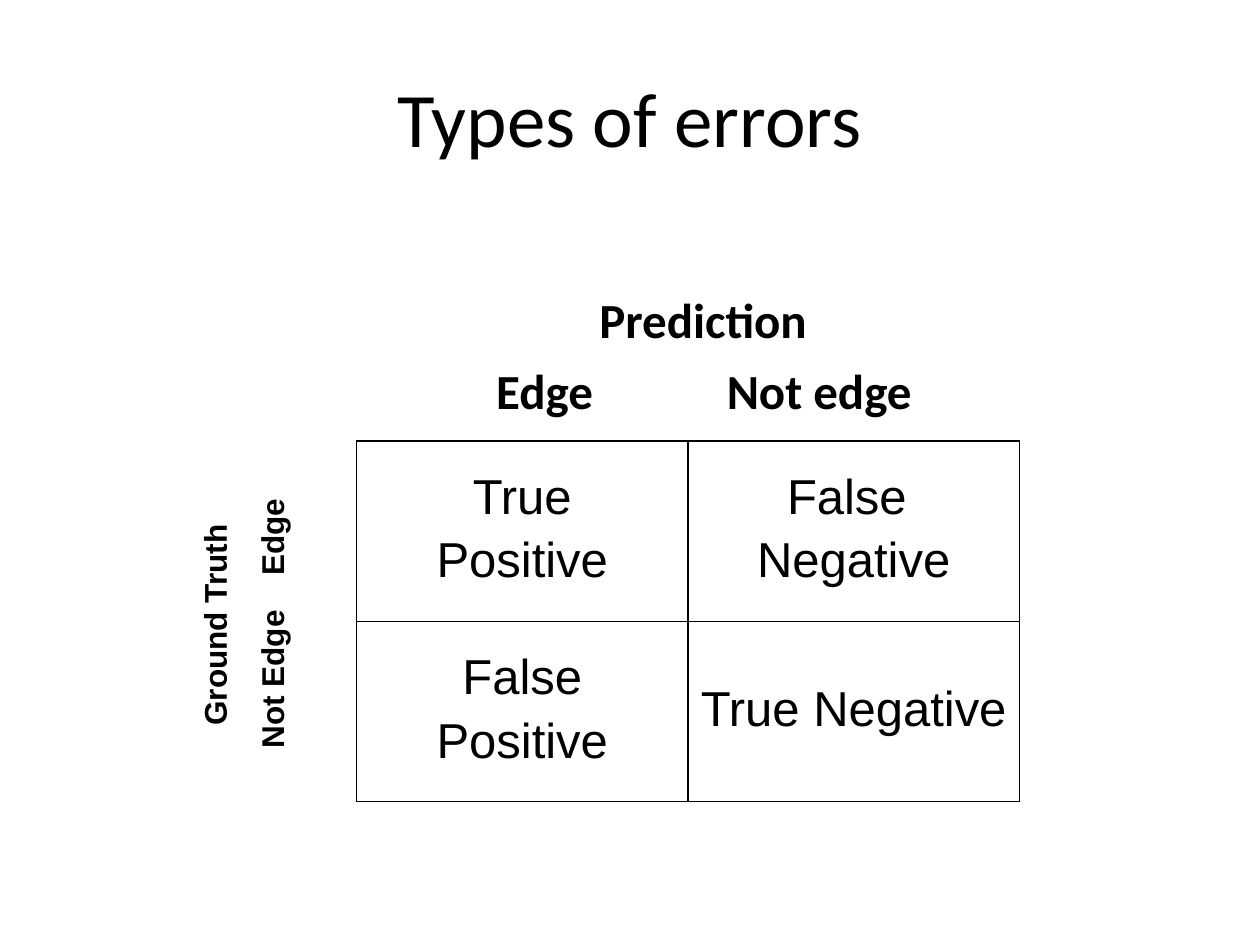
from lxml.etree import SubElement
from pptx import Presentation
from pptx.dml.color import RGBColor
from pptx.enum.text import MSO_ANCHOR, PP_ALIGN
from pptx.oxml.ns import qn
from pptx.util import Inches, Pt

COLORS = {"ink": "000000"}
TITLE = "Types of errors"
OUTCOMES = [
    [["True", "Positive"], ["False ", "Negative"]],
    [["False", "Positive"], ["True Negative"]],
]
AXES = [
    {
        "name": "Prediction", "levels": ["Edge", "Not edge"], "stops": [1.26, 3.09],
        "box": (2.58, 2.25, 6, 1.33), "margins": (0.1, 0.05), "direction": "horz",
        "font": {"name": "Calibri", "size": Pt(28), "bold": True}, "before": 7,
    },
    {
        "name": "Ground Truth", "levels": ["Not Edge", "Edge"], "stops": [0.38, 1.75],
        "box": (1.5, 3.5, 0.95, 2.92), "margins": (0.05, 0.1), "direction": "vert270",
        "font": {"name": "Arial", "size": Pt(18), "bold": True}, "before": 11.2,
    },
]
TITLE_FONT = {"name": "Calibri", "size": Pt(44), "bold": False}
CELL_FONT = {"name": "Arial", "size": Pt(28), "bold": False}
CELL_SPACING = {"alignment": PP_ALIGN.CENTER, "line_spacing": 0.93, "space_before": Pt(7)}
TABLE_LEFT, TABLE_TOP = 2.83, 3.5
COLUMN_WIDTH, ROW_HEIGHT = 2.63, 1.43


def apply(target, values):
    for name, value in values.items():
        setattr(target, name, value)


def write(frame, lines, font, spacing):
    for index, line in enumerate(lines):
        paragraph = frame.paragraphs[0] if index == 0 else frame.add_paragraph()
        apply(paragraph, spacing)
        run = paragraph.add_run()
        run.text = line
        apply(run.font, font)
        run.font.color.rgb = RGBColor.from_string(COLORS["ink"])


def place(shape, box):
    apply(shape, dict(zip(("left", "top", "width", "height"), map(Inches, box))))


def add_axis(slide, axis):
    shape = slide.shapes.add_textbox(*map(Inches, axis["box"]))
    frame = shape.text_frame
    across, down = map(Inches, axis["margins"])
    apply(frame, {"word_wrap": True, "margin_left": across, "margin_right": across,
                  "margin_top": down, "margin_bottom": down})
    frame._txBody.bodyPr.set("vert", axis["direction"])
    levels = "".join("\t" + level for level in axis["levels"])
    write(frame, [axis["name"], levels], axis["font"], {"space_before": Pt(axis["before"])})
    heading, level_line = frame.paragraphs
    heading.alignment = PP_ALIGN.CENTER
    level_line.alignment = PP_ALIGN.LEFT
    tabs = SubElement(level_line._p.get_or_add_pPr(), qn("a:tabLst"))
    for stop in axis["stops"]:
        SubElement(tabs, qn("a:tab"), pos=str(Inches(stop)), algn="l")


def add_borders(cell):
    properties = cell._tc.get_or_add_tcPr()
    for index, side in enumerate(("lnL", "lnR", "lnT", "lnB")):
        line = SubElement(properties, qn("a:" + side), w=str(Pt(0.75)))
        fill = SubElement(line, qn("a:solidFill"))
        SubElement(fill, qn("a:srgbClr"), val=COLORS["ink"])
        properties.insert(index, line)


def add_outcomes(slide):
    rows, columns = len(OUTCOMES), len(OUTCOMES[0])
    table = slide.shapes.add_table(
        rows, columns, Inches(TABLE_LEFT), Inches(TABLE_TOP),
        Inches(columns * COLUMN_WIDTH), Inches(rows * ROW_HEIGHT)).table
    apply(table, {"first_row": False, "horz_banding": False})
    for row, outcomes in enumerate(OUTCOMES):
        for column, lines in enumerate(outcomes):
            cell = table.cell(row, column)
            cell.vertical_anchor = MSO_ANCHOR.MIDDLE
            cell.fill.background()
            write(cell.text_frame, lines, CELL_FONT, CELL_SPACING)
            add_borders(cell)


def main():
    presentation = Presentation()
    apply(presentation, {"slide_width": Inches(10), "slide_height": Inches(7.5)})
    slide = presentation.slides.add_slide(presentation.slide_layouts[5])
    title = slide.shapes.title
    place(title, (0.5, 0.3, 9, 1.25))
    title.text_frame.vertical_anchor = MSO_ANCHOR.MIDDLE
    write(title.text_frame, [TITLE], TITLE_FONT, {"alignment": PP_ALIGN.CENTER})
    for axis in AXES:
        add_axis(slide, axis)
    add_outcomes(slide)
    presentation.save("out.pptx")


if __name__ == "__main__":
    main()
